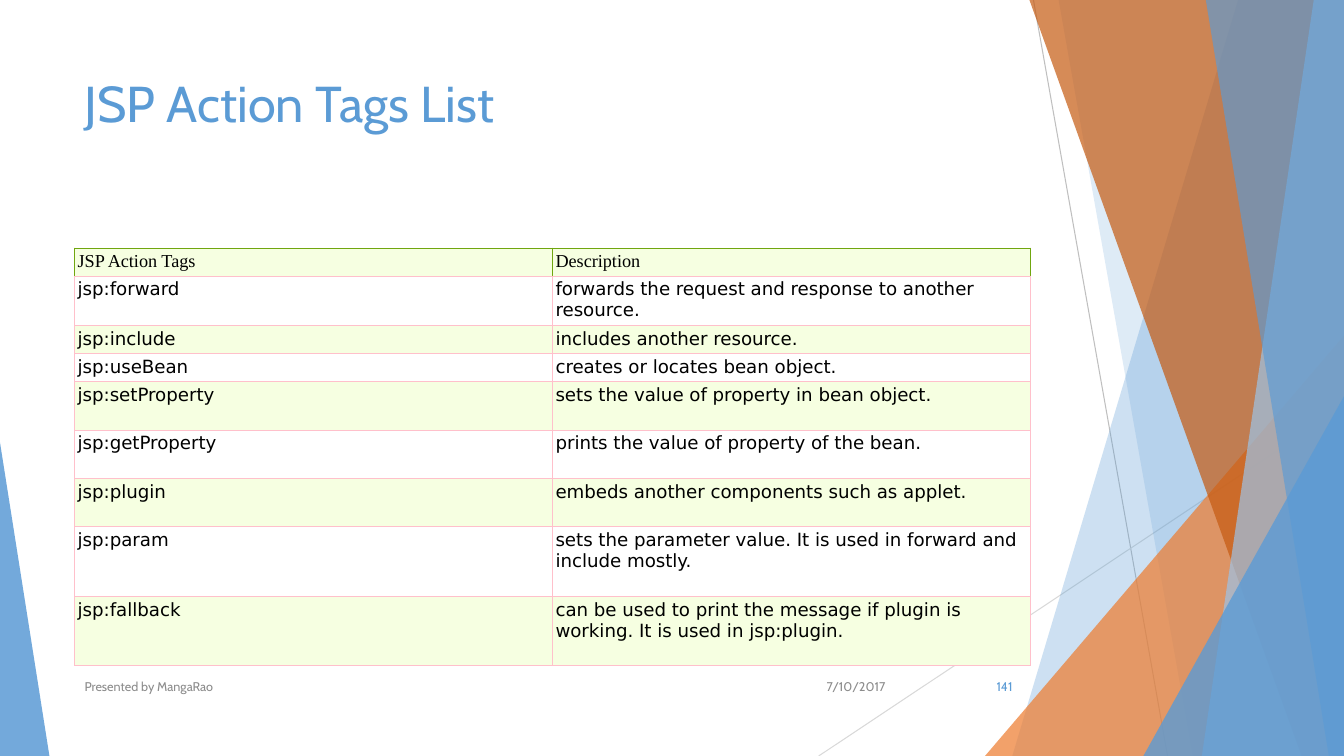
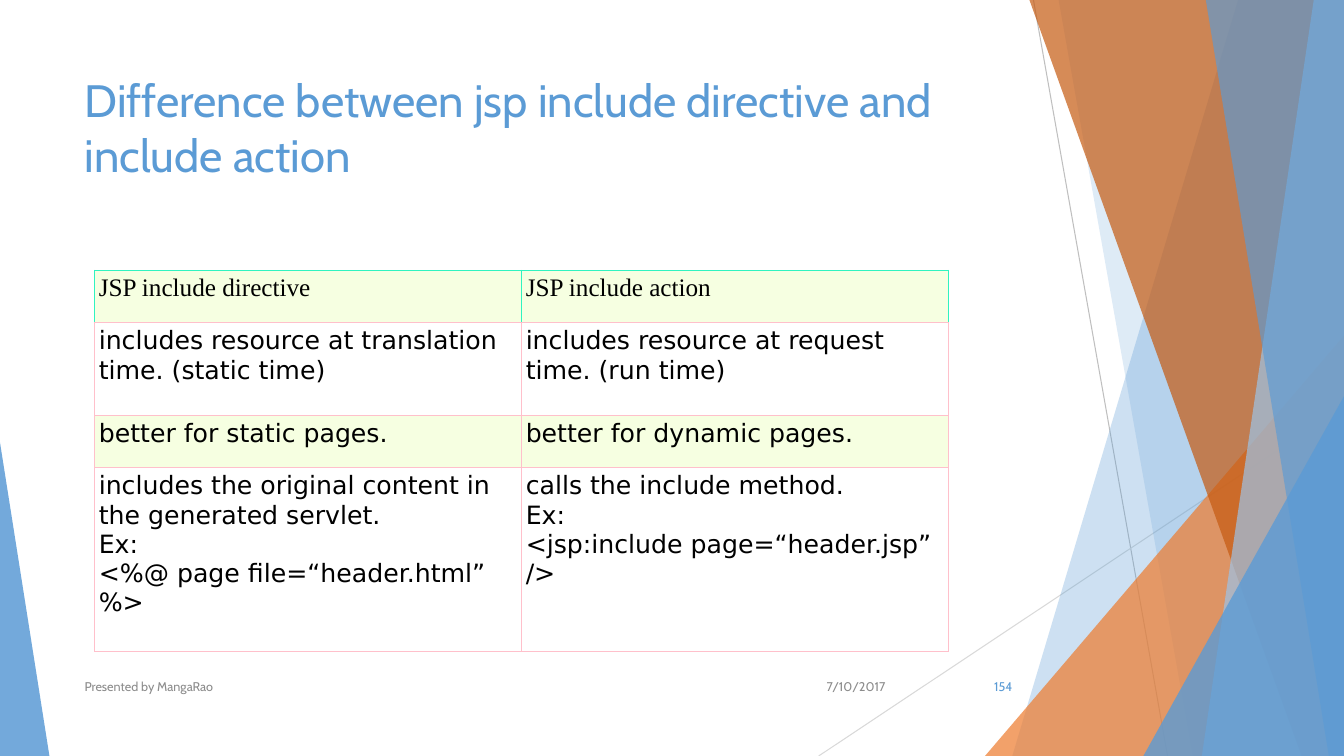
from pptx import Presentation
from pptx.dml.color import RGBColor
from pptx.enum.shapes import MSO_CONNECTOR, MSO_SHAPE
from pptx.enum.text import MSO_ANCHOR, PP_ALIGN
from pptx.oxml.ns import qn
from pptx.util import Inches, Pt
from lxml.etree import SubElement, Element

HEX = {
    "blue": "5B9BD5", "sky": "9DC3E6", "orange": "ED7D31", "rust": "C55A11",
    "silver": "BFBFBF", "mist": "D9D9D9", "gray": "8C8C8C", "black": "000000",
    "white": "FFFFFF", "cream": "F6FFE1", "pink": "FFC0CB",
    "green": "70A60F", "teal": "30F3C0",
}
SANS, SERIF, BODY = "Cabin", "Times New Roman", "DejaVu Sans"
WIDE, HIGH = 13.33, 7.5

# Content: each row is a height followed by its cell texts
SLIDES = [
    {
        "title": "JSP Action Tags List", "size": 36, "page": "141",
        "left": 0.74, "top": 2.46, "width": 9.48,
        "font": 13, "inset": 0.03, "edge": "green",
        "rows": [
            (0.27, "JSP Action Tags", "Description"),
            (0.48, "jsp:forward", "forwards the request and response to another resource."),
            (0.27, "jsp:include", "includes another resource."),
            (0.27, "jsp:useBean", "creates or locates bean object."),
            (0.48, "jsp:setProperty", "sets the value of property in bean object."),
            (0.48, "jsp:getProperty", "prints the value of property of the bean."),
            (0.48, "jsp:plugin", "embeds another components such as applet."),
            (0.69, "jsp:param", "sets the parameter value. It is used in forward and include mostly."),
            (0.69, "jsp:fallback", "can be used to print the message if plugin is working. It is used in jsp:plugin."),
        ],
    },
    {
        "title": "Difference between jsp include directive and include action",
        "size": 32.4, "page": "154",
        "left": 0.94, "top": 2.68, "width": 8.47,
        "font": 18, "inset": 0.04, "edge": "teal",
        "rows": [
            (0.52, "JSP include directive", "JSP include action"),
            (0.92, "includes resource at translation time. (static time)",
             "includes resource at request time. (run time)"),
            (0.52, "better for static pages.", "better for dynamic pages."),
            (1.82, "includes the original content in the generated servlet.\nEx:\n"
             "<%@ page file=“header.html” %>",
             "calls the include method.\nEx:\n<jsp:include page=“header.jsp”\n/>"),
        ],
    },
]

# Backdrop, back to front
LINES = [((10.25, 0), (11.58, HIGH), "silver"), ((WIDE, 4.03), (8.12, HIGH), "mist")]
# Bands reach the right edge: top x, bottom x, colour, opacity in percent
# Triangles: left, top, width, apex (0 left, 1 right), colour, opacity
FACETS = [
    ("band", 12.28, 10.04, "blue", 30),
    ("band", 10.5, 11.83, "blue", 20),
    ("tri", 9.77, 3.33, 3.56, 1, "orange", 72),
    ("band", 10.21, 12.91, "rust", 70),
    ("band", 13.03, 11.92, "sky", 70),
    ("band", 11.96, 13.18, "blue", 65),
    ("tri", 11.34, 3.93, 1.99, 1, "blue", 80),
    ("tri", 0, 4.39, 0.49, 0, "blue", 85),
]
# Footer: text, left, width, alignment, colour
FOOTER = [
    ("7/10/2017", 7.88, 1, PP_ALIGN.RIGHT, "gray"),
    ("Presented by MangaRao", 0.74, 6.89, PP_ALIGN.LEFT, "gray"),
    ("{page}", 9.39, 0.75, PP_ALIGN.RIGHT, "blue"),
]


def color(name):
    return RGBColor.from_string(HEX[name])


def style(frame, face, size, name, align=PP_ALIGN.LEFT):
    for para in frame.paragraphs:
        para.alignment = align
        for run in para.runs:
            run.font.name, run.font.size = face, Pt(size)
            run.font.color.rgb = color(name)


def add_text(slide, text, box, size, name, align=PP_ALIGN.LEFT, anchor=MSO_ANCHOR.TOP):
    frame = slide.shapes.add_textbox(*map(Inches, box)).text_frame
    frame.word_wrap = True
    frame.vertical_anchor = anchor
    frame.text = text
    style(frame, SANS, size, name, align)


def add_band(slide, top, base):
    points = [(top, 0), (WIDE, 0), (WIDE, HIGH), (base, HIGH)]
    points = [(Inches(x), Inches(y)) for x, y in points]
    form = slide.shapes.build_freeform(*points[0], scale=1.0)
    form.add_line_segments(points[1:], close=True)
    return form.convert_to_shape()


def add_tri(slide, left, top, width, apex):
    box = map(Inches, (left, top, width, HIGH - top))
    shape = slide.shapes.add_shape(MSO_SHAPE.ISOSCELES_TRIANGLE, *box)
    shape.adjustments[0] = apex
    return shape


def add_backdrop(slide):
    for start, end, name in LINES:
        line = slide.shapes.add_connector(
            MSO_CONNECTOR.STRAIGHT, *map(Inches, start + end))
        line.line.color.rgb = color(name)
        line.line.width = Pt(0.75)
        SubElement(line._element.spPr, qn("a:effectLst"))
    for kind, *place, name, alpha in FACETS:
        shape = (add_band if kind == "band" else add_tri)(slide, *place)
        shape.shadow.inherit = False
        shape.line.fill.background()
        shape.fill.solid()
        shape.fill.fore_color.rgb = color(name)
        tint = shape._element.spPr.find(".//" + qn("a:srgbClr"))
        SubElement(tint, qn("a:alpha"), val=str(alpha * 1000))


def add_border(cell, names):
    # Borders come before the fill, in the order left, right, top, bottom
    props = cell._tc.get_or_add_tcPr()
    for spot, (side, name) in enumerate(zip("LRTB", names)):
        line = Element(qn("a:ln" + side), w=str(Pt(0.6)))
        fill = SubElement(line, qn("a:solidFill"))
        SubElement(fill, qn("a:srgbClr"), val=HEX[name])
        props.insert(spot, line)


def add_grid(slide, data):
    rows = data["rows"]
    cols = len(rows[0]) - 1
    box = (data["left"], data["top"], data["width"], sum(row[0] for row in rows))
    table = slide.shapes.add_table(len(rows), cols, *map(Inches, box)).table
    table.first_row = table.horz_banding = False
    for col in table.columns:
        col.width = Inches(data["width"] / cols)
    for r, (height, *texts) in enumerate(rows):
        table.rows[r].height = Inches(height)
        edge = "pink" if r else data["edge"]
        for c, text in enumerate(texts):
            cell = table.cell(r, c)
            cell.margin_left = cell.margin_right = Inches(data["inset"])
            cell.margin_top = cell.margin_bottom = Inches(data["inset"])
            cell.fill.solid()
            cell.fill.fore_color.rgb = color("white" if r % 2 else "cream")
            add_border(cell, [edge] * 3 + ["pink"])
            cell.text_frame.text = text
            style(cell.text_frame, BODY if r else SERIF, data["font"], "black")


def main():
    deck = Presentation()
    deck.slide_width, deck.slide_height = Inches(WIDE), Inches(HIGH)
    for data in SLIDES:
        slide = deck.slides.add_slide(deck.slide_layouts[6])
        add_backdrop(slide)
        add_text(slide, data["title"], (0.74, 0.67, 9.4, 1.44), data["size"], "blue")
        add_grid(slide, data)
        for text, left, width, align, name in FOOTER:
            add_text(slide, text.format(page=data["page"]), (left, 6.61, width, 0.4),
                     9, name, align, MSO_ANCHOR.MIDDLE)
    deck.save("out.pptx")


if __name__ == "__main__":
    main()
